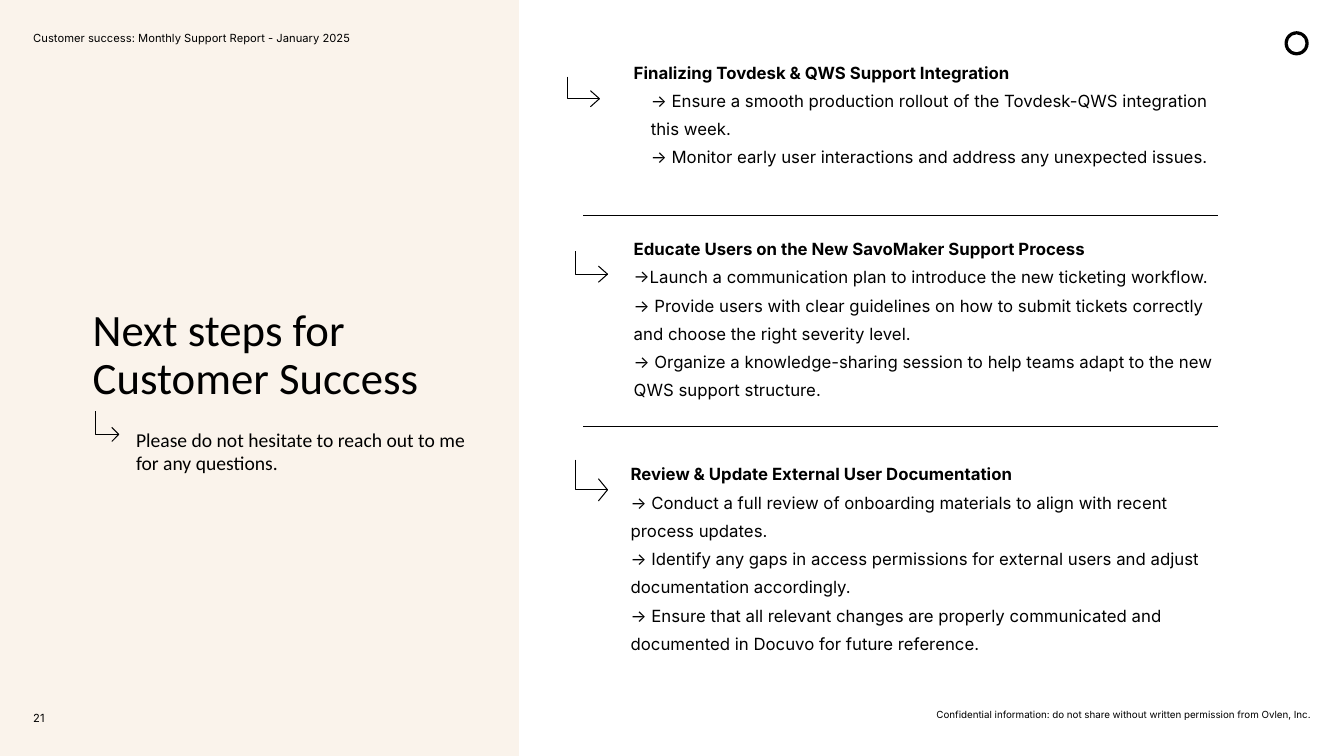
from dataclasses import dataclass

from lxml import etree
from pptx import Presentation
from pptx.dml.color import RGBColor
from pptx.enum.shapes import MSO_CONNECTOR, MSO_SHAPE
from pptx.enum.text import MSO_ANCHOR, MSO_AUTO_SIZE, PP_ALIGN
from pptx.oxml.ns import qn
from pptx.util import Inches, Pt

TOP, MIDDLE, BOTTOM = MSO_ANCHOR.TOP, MSO_ANCHOR.MIDDLE, MSO_ANCHOR.BOTTOM
LEFT, RIGHT = PP_ALIGN.LEFT, PP_ALIGN.RIGHT
NO_AUTOFIT = MSO_AUTO_SIZE.NONE
STRAIGHT = MSO_CONNECTOR.STRAIGHT
RECTANGLE, DONUT = MSO_SHAPE.RECTANGLE, MSO_SHAPE.DONUT
COMPARISON_LAYOUT = 4


@dataclass(frozen=True)
class Theme:
    ink: RGBColor = RGBColor(0, 0, 0)
    panel: RGBColor = RGBColor(0xFA, 0xF3, 0xEB)
    heading_font: str = "Calibri"
    body_font: str = "Inter"
    title_size: int = 32
    subtitle_size: int = 14
    body_size: int = 12
    label_size: int = 8
    footer_size: int = 7
    line_width: float = 0.75


THEME = Theme()

# Placeholder index, box, anchor, indent of the actions, heading, actions
STEPS = [
    (2, (6.29, 0.54, 5.88, 1.24), TOP, 0.17,
     "Finalizing Tovdesk & QWS Support Integration",
     ["→ Ensure a smooth production rollout of the Tovdesk-QWS integration this week.",
      "→ Monitor early user interactions and address any unexpected issues."]),
    (3, (6.29, 2.29, 5.88, 1.41), TOP, 0,
     "Educate Users on the New SavoMaker Support Process",
     ["→Launch a communication plan to introduce the new ticketing workflow.",
      "→ Provide users with clear guidelines on how to submit tickets correctly "
      "and choose the right severity level.",
      "→ Organize a knowledge-sharing session to help teams adapt to the new "
      "QWS support structure."]),
    (4, (6.26, 4.69, 5.88, 1.63), MIDDLE, 0,
     "Review & Update External User Documentation",
     ["→ Conduct a full review of onboarding materials to align with recent "
      "process updates.",
      "→ Identify any gaps in access permissions for external users and adjust "
      "documentation accordingly.",
      "→ Ensure that all relevant changes are properly communicated and "
      "documented in Docuvo for future reference."]),
]

# Left, top, width, height, length of the head, half its breadth
ARROWS = [
    (0.95, 4.08, 0.23, 0.23, 0.07, 0.07),
    (5.63, 0.76, 0.32, 0.22, 0.09, 0.08),
    (5.71, 2.49, 0.32, 0.23, 0.09, 0.08),
    (5.71, 4.56, 0.32, 0.3, 0.09, 0.11),
]

DIVIDER_TOPS = [2.14, 4.23]


def prepare_frame(shape, anchor):
    frame = shape.text_frame
    frame.word_wrap = True
    frame.auto_size = NO_AUTOFIT
    frame.vertical_anchor = anchor
    frame.margin_left = frame.margin_top = 0
    frame.margin_right = frame.margin_bottom = 0
    return frame


def write_paragraph(paragraph, text, size, font_name, bold=False,
                    align=LEFT, spacing=1.0, indent=0):
    paragraph.alignment = align
    paragraph.line_spacing = spacing
    paragraph.space_before = Pt(0)
    properties = paragraph._p.get_or_add_pPr()
    properties.set("marL", str(Inches(indent)))
    properties.set("indent", "0")
    etree.SubElement(properties, qn("a:buNone"))
    run = paragraph.add_run()
    run.text = text
    run.font.size = Pt(size)
    run.font.name = font_name
    run.font.bold = bold
    run.font.color.rgb = THEME.ink


def place(shape, box):
    shape.left, shape.top, shape.width, shape.height = map(Inches, box)


def fill_placeholder(shape, box, anchor, text, size, spacing=1.0):
    place(shape, box)
    frame = prepare_frame(shape, anchor)
    write_paragraph(frame.paragraphs[0], text, size, THEME.heading_font,
                    spacing=spacing)


def fill_step(shape, box, anchor, indent, heading, actions):
    place(shape, box)
    frame = prepare_frame(shape, anchor)
    write_paragraph(frame.paragraphs[0], heading, THEME.body_size,
                    THEME.body_font, bold=True, spacing=1.4)
    for action in actions:
        write_paragraph(frame.add_paragraph(), action, THEME.body_size,
                        THEME.body_font, spacing=1.4, indent=indent)


def add_label(slide, box, text, size, align=LEFT):
    shape = slide.shapes.add_textbox(*map(Inches, box))
    frame = prepare_frame(shape, MIDDLE)
    write_paragraph(frame.paragraphs[0], text, size, THEME.body_font, align=align)


def add_plain_shape(slide, kind, box, color):
    shape = slide.shapes.add_shape(kind, *map(Inches, box))
    shape.shadow.inherit = False
    shape.fill.solid()
    shape.fill.fore_color.rgb = color
    shape.line.fill.background()
    return shape


def set_line(shape):
    shape.line.color.rgb = THEME.ink
    shape.line.width = Pt(THEME.line_width)


def add_elbow_arrow(slide, left, top, width, height, head, half):
    def point(x, y):
        return Inches(x), Inches(y)

    right, bottom = left + width, top + height
    builder = slide.shapes.build_freeform(*point(left, top))
    builder.add_line_segments(
        [point(left, bottom), point(right, bottom)], close=False)
    builder.move_to(*point(right - head, bottom - half))
    builder.add_line_segments(
        [point(right, bottom), point(right - head, bottom + half)], close=False)
    arrow = builder.convert_to_shape()
    arrow.shadow.inherit = False
    arrow.fill.background()
    set_line(arrow)


def add_divider(slide, top):
    divider = slide.shapes.add_connector(
        STRAIGHT, Inches(5.79), Inches(top), Inches(12.09), Inches(top))
    set_line(divider)
    etree.SubElement(divider._element.spPr, qn("a:effectLst"))


def main():
    presentation = Presentation()
    presentation.slide_width = Inches(13.34)
    presentation.slide_height = Inches(7.5)
    slide = presentation.slides.add_slide(
        presentation.slide_layouts[COMPARISON_LAYOUT])
    placeholders = slide.placeholders

    # Left panel, sent behind the placeholders, and corner emblem
    panel = add_plain_shape(slide, RECTANGLE, (0, 0, 5.15, 7.5), THEME.panel)
    slide.shapes._spTree.insert(2, panel._element)
    emblem = add_plain_shape(slide, DONUT, (12.75, 0.31, 0.24, 0.24), THEME.ink)
    emblem.adjustments[0] = 0.13

    # Title and subtitle
    fill_placeholder(slide.shapes.title, (0.92, 2.19, 3.77, 1.82), BOTTOM,
                     "Next steps for Customer Success", THEME.title_size, 0.9)
    fill_placeholder(placeholders[1], (1.35, 4.24, 3.35, 0.71), TOP,
                     "Please do not hesitate to reach out to me for any questions.",
                     THEME.subtitle_size)

    # Next steps
    for index, *step in STEPS:
        fill_step(placeholders[index], *step)

    # Arrows and dividers
    for arrow in ARROWS:
        add_elbow_arrow(slide, *arrow)
    for top in DIVIDER_TOPS:
        add_divider(slide, top)

    # Header, page number and footer
    add_label(slide, (0.33, 0.26, 4.82, 0.23),
              "Customer success: Monthly Support Report - January 2025",
              THEME.label_size)
    add_label(slide, (0.33, 7.01, 0.33, 0.23), "21", THEME.label_size)
    add_label(slide, (7.57, 7.03, 5.44, 0.12),
              "Confidential information: do not share without written "
              "permission from Ovlen, Inc.", THEME.footer_size, RIGHT)

    presentation.save("out.pptx")


if __name__ == "__main__":
    main()
